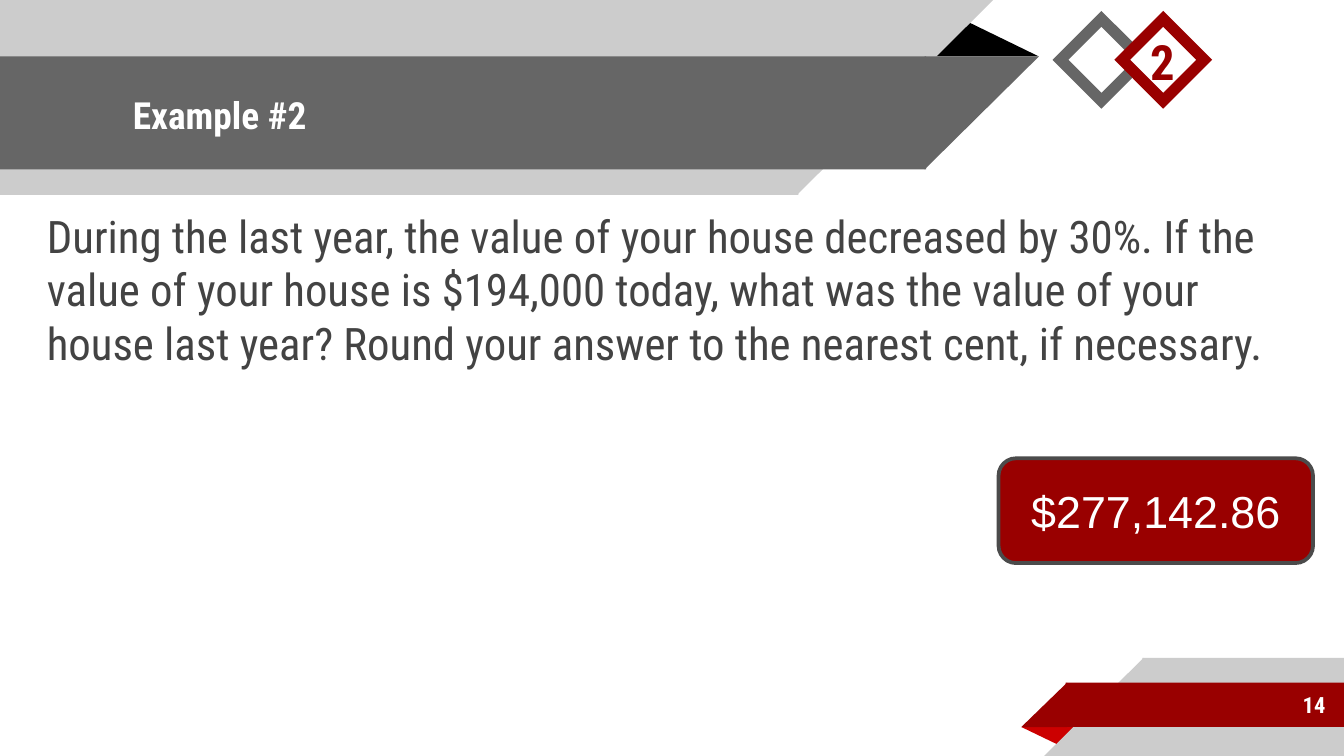
from lxml import etree
from pptx import Presentation
from pptx import util as u
from pptx.dml import color
from pptx.enum import shapes, text
from pptx.oxml import ns

WIDTH = 10
HEIGHT = WIDTH * 9 / 16
OVERLAP = 0.01
FONT = "Roboto Condensed"
RED, DARK, LIGHT, WHITE = "990000", "666666", "CCCCCC", "FFFFFF"
KIND, ANCHOR, ALIGN = shapes.MSO_SHAPE, text.MSO_ANCHOR, text.PP_ALIGN


def paint(target, colour):
    """Give a fill a solid colour from a hex string."""
    target.solid()
    target.fore_color.rgb = color.RGBColor.from_string(colour)


def add_shape(slide, kind, box, fill=None, line=None, line_width=1, rotation=0, flip=False):
    """Add a preset shape, filled and outlined only where colours are given."""
    shape = slide.shapes.add_shape(kind, *map(u.Inches, box))
    shape.shadow.inherit = False
    shape.rotation = rotation
    if flip:
        shape.element.spPr.xfrm.set("flipH", "1")
    if fill:
        paint(shape.fill, fill)
    else:
        shape.fill.background()
    if line:
        paint(shape.line.fill, line)
        shape.line.width = u.Pt(line_width)
    else:
        shape.line.fill.background()
    return shape


def add_ribbon(slide, left, top, width, height, colour, from_right=False):
    """Add a bar whose free end is cut at 45 degrees, with the parts overlapping slightly."""
    rotation = 0 if from_right else 180
    slant_left = left - height if from_right else left + width - OVERLAP
    for kind, x, w in ((KIND.RECTANGLE, left, width),
                       (KIND.RIGHT_TRIANGLE, slant_left, height + OVERLAP)):
        add_shape(slide, kind, (x, top, w, height), colour, rotation=rotation, flip=True)


def add_fold(slide, box, colour, rotation=0):
    """Add the small triangle that shows behind a folded ribbon."""
    shape = add_shape(slide, KIND.ISOSCELES_TRIANGLE, box, colour, rotation=rotation)
    shape.adjustments[0] = 0.324


def add_diamond(slide, left, line, fill=None):
    """Add a thick diamond outline with sharp corners."""
    shape = add_shape(slide, KIND.DIAMOND, (left, 0.14, 0.61, 0.61), fill, line, 6)
    etree.SubElement(shape.line.fill._xPr, ns.qn("a:miter"), lim="800000")


def write(shape, words, size, colour, font=FONT, bold=False, align=ALIGN.LEFT, anchor=ANCHOR.MIDDLE):
    """Write one run into a shape and return its paragraph."""
    frame = shape.text_frame
    frame.word_wrap = True
    frame.vertical_anchor = anchor
    paragraph = frame.paragraphs[0]
    paragraph.alignment = align
    run = paragraph.add_run()
    run.text = words
    run.font.name, run.font.size, run.font.bold = font, u.Pt(size), bold
    run.font.color.rgb = color.RGBColor.from_string(colour)
    return paragraph


def add_text(slide, box, words, size, colour, **style):
    """Add a text box with equal insets and return its paragraph."""
    shape = slide.shapes.add_textbox(*map(u.Inches, box))
    frame = shape.text_frame
    frame.margin_left = frame.margin_right = u.Inches(0.1)
    frame.margin_top = frame.margin_bottom = u.Inches(0.1)
    return write(shape, words, size, colour, **style)


def add_footer_ribbons(slide):
    """Draw the ribbons at the lower right."""
    add_fold(slide, (7.6, 5.41, 0.43, 0.14), "CC0000", 180)
    add_ribbon(slide, 8.5, HEIGHT - 0.73, WIDTH - 8.5, 0.73, LIGHT, from_right=True)
    add_ribbon(slide, 7.93, 5.08, WIDTH - 7.93, 0.33, RED, from_right=True)


def add_title_ribbons(slide):
    """Draw the ribbons behind the title."""
    add_fold(slide, (6.88, 0.14, 0.85, 0.28), "000000")
    add_ribbon(slide, 0, 0, 5.94, 1.45, LIGHT)
    add_ribbon(slide, 0, 0.42, 6.89, 0.84, DARK)


def add_question(slide):
    """Add the question paragraph."""
    paragraph = add_text(
        slide, (0.17, 1.45, 9.65, 3.44),
        "During the last year, the value of your house decreased by 30%. "
        "If the value of your house is $194,000 today, what was the value of "
        "your house last year? Round your answer to the nearest cent, if necessary.",
        24, "434343", anchor=ANCHOR.TOP)
    paragraph.space_before = u.Pt(6)
    properties = paragraph._p.get_or_add_pPr()
    properties.set("marL", str(u.Inches(0.08)))
    properties.set("indent", "0")


def add_answer(slide):
    """Add the answer button."""
    button = add_shape(slide, KIND.FLOWCHART_ALTERNATE_PROCESS, (7.43, 3.41, 2.34, 0.78),
                       RED, "4B4B4B", 2)
    write(button, "$277,142.86", 24, WHITE, font="Arial", align=ALIGN.CENTER)


def add_badge(slide):
    """Add the two diamonds and the example number."""
    add_diamond(slide, 7.89, DARK)
    add_diamond(slide, 8.35, RED, WHITE)
    add_text(slide, (8.46, 0.05, 0.43, 0.72), "2", 26, RED, bold=True, anchor=ANCHOR.BOTTOM)


def main():
    """Build the slide and save it."""
    presentation = Presentation()
    presentation.slide_width, presentation.slide_height = u.Inches(WIDTH), u.Inches(HEIGHT)
    slide = presentation.slides.add_slide(presentation.slide_layouts[6])
    paint(slide.background.fill, WHITE)
    add_footer_ribbons(slide)
    add_title_ribbons(slide)
    add_text(slide, (0.89, 0.43, 6.01, 0.84), "Example #2", 20, WHITE, bold=True)
    add_question(slide)
    add_text(slide, (8.33, 5.07, 1.63, 0.35), "14", 12, WHITE, bold=True, align=ALIGN.RIGHT)
    add_answer(slide)
    add_badge(slide)
    presentation.save("out.pptx")


if __name__ == "__main__":
    main()
